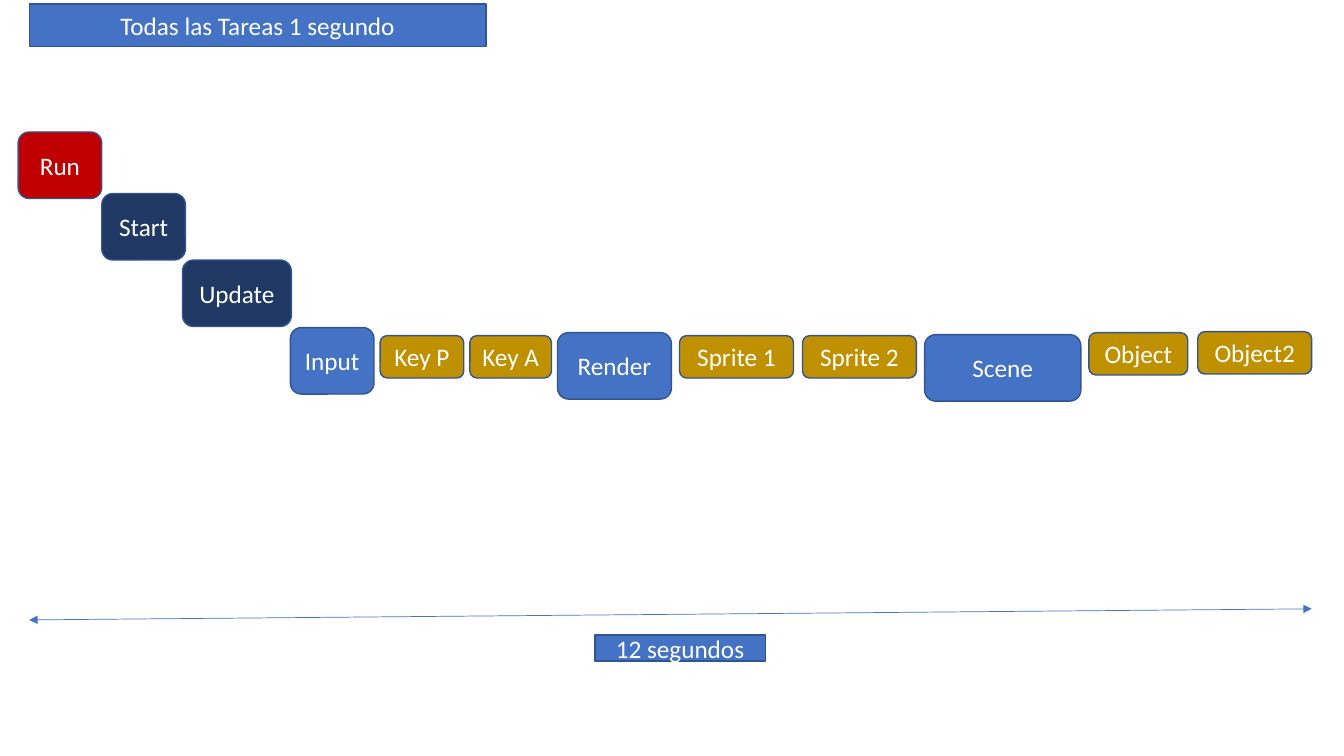
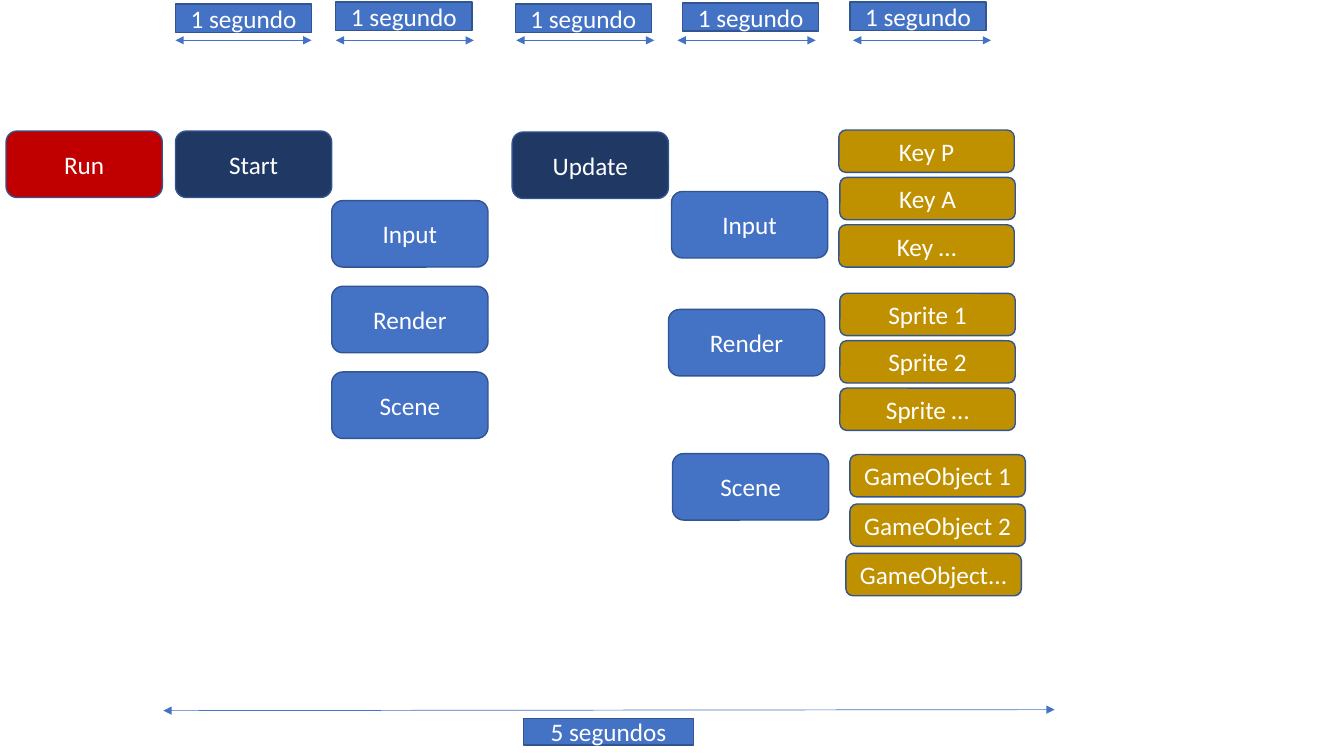
from dataclasses import dataclass
from lxml.etree import SubElement
from pptx import Presentation
from pptx.dml.color import RGBColor as RGB
from pptx.enum.shapes import MSO_CONNECTOR as CONN, MSO_SHAPE as SHAPE
from pptx.enum.text import MSO_ANCHOR as ANCHOR, PP_ALIGN as ALIGN
from pptx.oxml.ns import qn
from pptx.util import Pt

PX = 9144


@dataclass(frozen=True)
class Theme:
    run: RGB = RGB.from_string("C00000")
    phase: RGB = RGB.from_string("203864")
    module: RGB = RGB.from_string("4472C4")
    item: RGB = RGB.from_string("BF9000")
    edge: RGB = RGB.from_string("325491")
    text: RGB = RGB.from_string("FFFFFF")
    font: str = "Calibri"
    size: int = Pt(18)
    edge_width: int = Pt(1)
    arrow_width: int = Pt(0.5)


theme = Theme()
FONT = {"name": theme.font, "size": theme.size}
BOX_H, ITEM_H = 66, 42
STYLES = {
    "run": (SHAPE.ROUNDED_RECTANGLE, theme.run, BOX_H),
    "phase": (SHAPE.ROUNDED_RECTANGLE, theme.phase, BOX_H),
    "module": (SHAPE.ROUNDED_RECTANGLE, theme.module, BOX_H),
    "item": (SHAPE.ROUNDED_RECTANGLE, theme.item, ITEM_H),
    "title": (SHAPE.RECTANGLE, theme.module, 42),
    "second": (SHAPE.RECTANGLE, theme.module, 28),
    "total": (SHAPE.RECTANGLE, theme.module, 26),
}


def add_box(s, style, text, x, y, w):
    shape, fill, h = STYLES[style]
    sp = s.shapes.add_shape(shape, x * PX, y * PX, w * PX, h * PX)
    sp.shadow.inherit = False
    sp.fill.solid()
    sp.fill.fore_color.rgb = fill
    sp.line.color.rgb = theme.edge
    sp.line.width = theme.edge_width
    tf = sp.text_frame
    tf.word_wrap = True
    tf.vertical_anchor = ANCHOR.MIDDLE
    p = tf.paragraphs[0]
    p.alignment = ALIGN.CENTER
    r = p.add_run()
    r.text = text
    for key, value in FONT.items():
        setattr(r.font, key, value)
    r.font.color.rgb = theme.text


def add_arrow(s, x1, y1, x2, y2):
    cx = s.shapes.add_connector(CONN.STRAIGHT, x1 * PX, y1 * PX, x2 * PX, y2 * PX)
    cx.line.color.rgb = theme.module
    cx.line.width = theme.arrow_width
    ln = cx.line._get_or_add_ln()
    for end in ("a:headEnd", "a:tailEnd"):
        SubElement(ln, qn(end), type="triangle")
    SubElement(cx._element.spPr, qn("a:effectLst"))


prs = Presentation()
prs.slide_width, prs.slide_height = 1333 * PX, 750 * PX
blank = prs.slide_layouts[6]

s = prs.slides.add_slide(blank)
for box in (
    ("title", "Todas las Tareas 1 segundo", 29, 4, 453),
    ("run", "Run", 18, 131, 83),
    ("phase", "Start", 101, 192, 83),
    ("phase", "Update", 181, 258, 108),
    ("module", "Input", 288, 325, 83),
    ("item", "Key P", 377, 333, 83),
    ("item", "Key A", 466, 333, 81),
    ("module", "Render", 553, 330, 113),
    ("item", "Sprite 1", 674, 333, 113),
    ("item", "Sprite 2", 796, 333, 113),
    ("module", "Scene", 917, 332, 155),
    ("item", "Object", 1080, 330, 98),
    ("item", "Object2", 1188, 329, 113),
    ("total", "12 segundos", 590, 630, 169),
):
    add_box(s, *box)
add_arrow(s, 29, 615, 1301, 604)

s = prs.slides.add_slide(blank)
BOX_W, ITEM_W, SECOND_W = 155, 174, 135
for x, y, x1, x2 in (
    (174, 4, 174, 309),
    (333, 2, 333, 470),
    (511, 4, 512, 649),
    (677, 3, 672, 809),
    (843, 2, 846, 983),
):
    add_box(s, "second", "1 segundo", x, y, SECOND_W)
    add_arrow(s, x1, 40, x2, 40)

for style, text, x, y in (
    ("run", "Run", 6, 130),
    ("phase", "Start", 174, 130),
    ("phase", "Update", 508, 131),
    ("module", "Input", 666, 190),
    ("module", "Render", 663, 307),
    ("module", "Scene", 667, 450),
):
    add_box(s, style, text, x, y, BOX_W)

for i, text in enumerate(("Input", "Render", "Scene")):
    add_box(s, "module", text, 329, 199 + 85 * i, BOX_W)

for top, step, items in (
    (129, 47, (("Key P", 832), ("Key A", 833), ("Key …", 832))),
    (291, 47, (("Sprite 1", 833), ("Sprite 2", 833), ("Sprite …", 833))),
    (451, 49, (("GameObject 1", 843), ("GameObject 2", 843), ("GameObject...", 839))),
):
    for i, (text, x) in enumerate(items):
        add_box(s, "item", text, x, top + step * i, ITEM_W)

add_arrow(s, 162, 705, 1046, 704)
add_box(s, "total", "5 segundos", 519, 713, 169)

prs.save("out.pptx")
